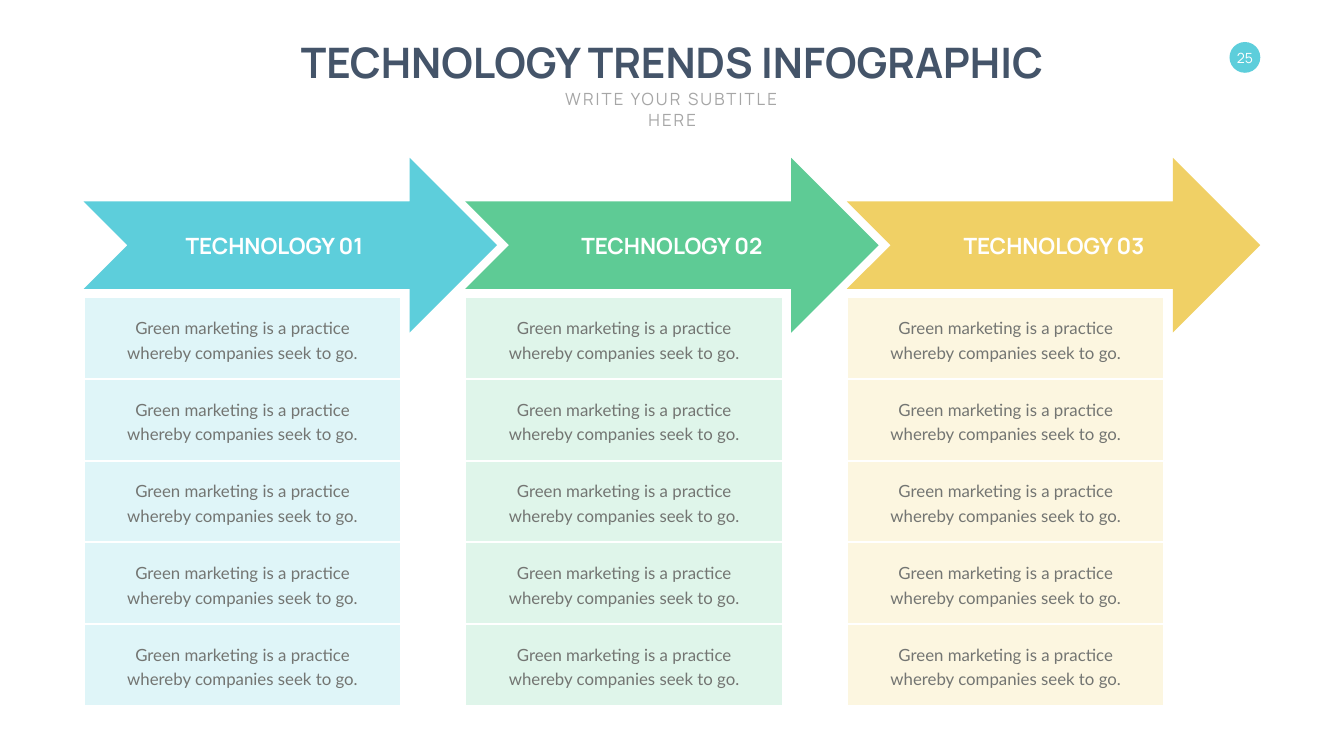
from dataclasses import dataclass

from pptx import Presentation
from pptx.dml.color import RGBColor as Rgb
from pptx.enum.shapes import MSO_SHAPE as Kind
from pptx.enum.text import MSO_ANCHOR as Anchor, MSO_AUTO_SIZE as Fit, PP_ALIGN as Align
from pptx.shapes.base import BaseShape
from pptx.slide import Slide
from pptx.util import Pt


@dataclass(frozen=True)
class Theme:
    head: str = "Manrope"
    body: str = "Lato"
    white: str = "FFFFFF"
    navy: str = "445469"
    gray: str = "A6A6A6"
    ink: str = "737572"
    aqua: str = "5DCEDB"
    green: str = "5ECB95"
    gold: str = "F0D065"
    pale_aqua: str = "DFF5F8"
    pale_green: str = "DFF5EA"
    pale_gold: str = "FCF6E0"
    title: float = 60
    label: float = 32
    text: float = 24
    page: float = 20


@dataclass(frozen=True)
class Box:
    left: float
    top: float
    width: float
    height: float


@dataclass(frozen=True)
class Column:
    label: str
    fill: str
    pale: str
    shift: float
    width: float


THEME = Theme()
WIDTH, HEIGHT = 1919.52, 1080
LEFT, PITCH = 119.5, 545
ROWS, ROW_TOP, ROW_STEP = 5, 424.8, 116.7
NOTE = "Green marketing is a practice whereby companies seek to go."
COLUMNS = (
    Column("TECHNOLOGY 01", THEME.aqua, THEME.pale_aqua, 134.7, 275.8),
    Column("TECHNOLOGY 02", THEME.green, THEME.pale_green, 154.1, 282.2),
    Column("TECHNOLOGY 03", THEME.gold, THEME.pale_gold, 154.1, 283.7),
)


def place(shape: BaseShape, box: Box) -> None:
    shape.left, shape.top = Pt(box.left), Pt(box.top)
    shape.width, shape.height = Pt(box.width), Pt(box.height)


def draw(slide: Slide, kind: Kind, box: Box, fill: str, line: str | None = None) -> None:
    shape = slide.shapes.add_shape(
        kind, Pt(box.left), Pt(box.top), Pt(box.width), Pt(box.height))
    shape.shadow.inherit = False
    shape.fill.solid()
    shape.fill.fore_color.rgb = Rgb.from_string(fill)
    if line:
        shape.line.color.rgb = Rgb.from_string(line)
        shape.line.width = Pt(3)
    else:
        shape.line.fill.background()


def write(slide: Slide, text: str, box: Box, *, size: float, color: str,
          font: str = THEME.head, bold: bool = False, wrap: bool = False,
          anchor: Anchor = Anchor.MIDDLE, inset: bool = True,
          leading: float | None = None, before: float = 0,
          track: float = 0, shape: BaseShape | None = None) -> None:
    if shape is None:
        shape = slide.shapes.add_textbox(0, 0, 0, 0)
    place(shape, box)
    frame = shape.text_frame
    frame.auto_size = Fit.SHAPE_TO_FIT_TEXT
    frame.word_wrap = wrap
    frame.vertical_anchor = anchor
    if not inset:
        frame.margin_left = frame.margin_right = 0
        frame.margin_top = frame.margin_bottom = 0
    para = frame.paragraphs[0]
    para.alignment = Align.CENTER
    para.space_before = Pt(before)
    if leading:
        para.line_spacing = Pt(leading)
    run = para.add_run()
    run.text = text
    run.font.name = font
    run.font.size = Pt(size)
    run.font.bold = bold
    run.font.color.rgb = Rgb.from_string(color)
    if track:
        run._r.get_or_add_rPr().set("spc", str(round(track * 100)))


def header(slide: Slide) -> None:
    draw(slide, Kind.OVAL, Box(1756, 60, 44, 44), THEME.aqua)
    write(slide, "25", Box(1763.3, 69.8, 29.5, 24.5), size=THEME.page,
          color=THEME.white, inset=False)
    write(slide, "TECHNOLOGY TRENDS INFOGRAPHIC", Box(404, 48.2, 1111.7, 80),
          size=THEME.title, color=THEME.navy, bold=True, anchor=Anchor.TOP,
          shape=slide.shapes.title)
    write(slide, "WRITE YOUR SUBTITLE HERE", Box(764.6, 123.8, 391, 36),
          size=THEME.text, color=THEME.gray, wrap=True, anchor=Anchor.TOP, track=3)


def column(slide: Slide, item: Column, left: float) -> None:
    draw(slide, Kind.NOTCHED_RIGHT_ARROW, Box(left, 225.4, 590.4, 249.8), item.fill)
    write(slide, item.label, Box(left + item.shift, 327.6, item.width, 46),
          size=THEME.label, color=THEME.white, bold=True)
    for row in range(ROWS):
        top = ROW_TOP + row * ROW_STEP
        draw(slide, Kind.RECTANGLE, Box(left, top, 453.6, ROW_STEP),
             item.pale, THEME.white)
        write(slide, NOTE, Box(left + 28.1, top + 20.9, 397.4, 74.2),
              size=THEME.text, color=THEME.ink, font=THEME.body, wrap=True,
              leading=35, before=4.8)


def main() -> None:
    deck = Presentation()
    deck.slide_width, deck.slide_height = Pt(WIDTH), Pt(HEIGHT)
    slide = deck.slides.add_slide(deck.slide_layouts[5])
    header(slide)
    for rank, item in enumerate(COLUMNS):
        column(slide, item, LEFT + rank * PITCH)
    deck.save("out.pptx")


if __name__ == "__main__":
    main()
